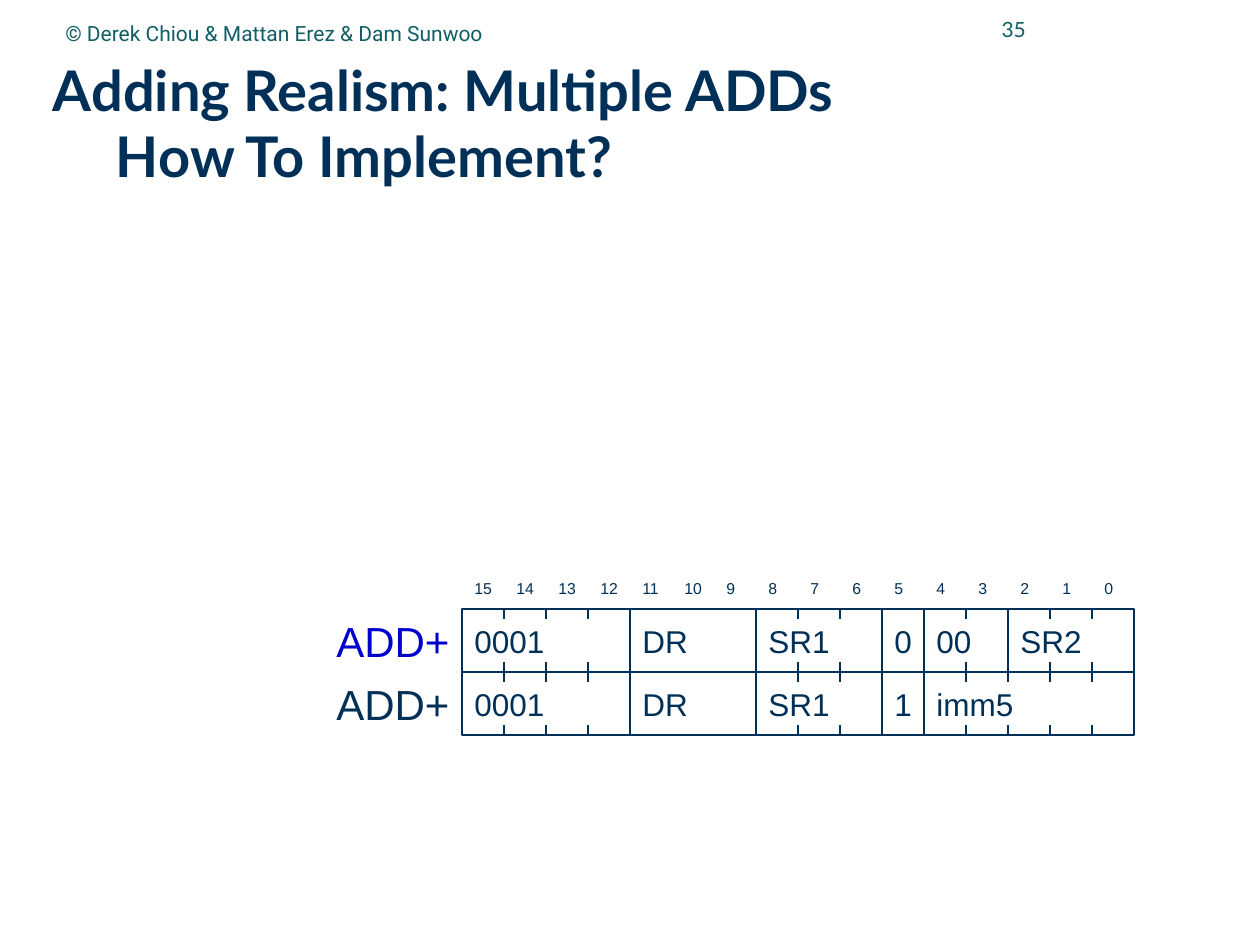
"""Build a slide showing the bit fields of the two ADD instruction formats."""
from lxml import etree
from pptx import Presentation
from pptx import util as u
from pptx.dml.color import RGBColor
from pptx.enum import shapes, text
from pptx.oxml import ns

THEME = {
    "navy": RGBColor.from_string("003057"),
    "teal": RGBColor.from_string("115E67"),
    "blue": RGBColor.from_string("0000CC"),
    "line": u.Pt(0.75),
    "title": {"name": "Lato", "size": u.Pt(32), "bold": True},
    "number": {"name": "Lato", "size": u.Pt(12)},
    "credit": {"name": "Roboto", "size": u.Pt(12)},
    "opcode": {"name": "Arial", "size": u.Pt(24)},
    "field": {"name": "Arial", "size": u.Pt(18)},
    "bit": {"name": "Arial", "size": u.Pt(9)},
}


def write_text(shape, wording, style, color="navy", align=text.PP_ALIGN.LEFT, wrap=False):
    frame = shape.text_frame
    for name, value in {"word_wrap": wrap, "vertical_anchor": text.MSO_ANCHOR.MIDDLE}.items():
        setattr(frame, name, value)
    paragraph = frame.paragraphs[0]
    paragraph.text = wording
    paragraph.alignment = align
    for run in paragraph.runs:
        for name, value in THEME[style].items():
            setattr(run.font, name, value)
        run.font.color.rgb = THEME[color]
    return paragraph


def add_tick(container, x, top, bottom):
    tick = container.add_connector(shapes.MSO_CONNECTOR.STRAIGHT, x, top, x, bottom)
    tick.line.color.rgb = THEME["navy"]
    tick.line.width = THEME["line"]
    etree.SubElement(tick._element.spPr, ns.qn("a:effectLst"))
    return tick


presentation = Presentation()
presentation.slide_width = u.Inches(10)
presentation.slide_height = u.Inches(7.5)
slide = presentation.slides.add_slide(presentation.slide_layouts[6])

title = slide.shapes.add_textbox(u.Inches(0.42), u.Inches(0.5), u.Inches(9.41), u.Inches(0.98))
for side in ("left", "top", "right", "bottom"):
    setattr(title.text_frame, f"margin_{side}", 0)
heading = write_text(title, "Adding Realism: Multiple ADDs\v\tHow To Implement?", "title", wrap=True)
heading.line_spacing = 0.99
tab_list = etree.SubElement(heading._p.get_or_add_pPr(), ns.qn("a:tabLst"))
etree.SubElement(tab_list, ns.qn("a:tab"), pos=str(u.Inches(0.5)), algn="l")

number = slide.shapes.add_textbox(u.Inches(7.33), u.Inches(-0.02), u.Inches(0.91), u.Inches(0.5))
write_text(number, "35", "number", "teal", text.PP_ALIGN.RIGHT, True)
credit = slide.shapes.add_textbox(u.Inches(0.42), u.Inches(0.03), u.Inches(5.67), u.Inches(0.46))
write_text(credit, "© Derek Chiou & Mattan Erez & Dam Sunwoo", "credit", "teal", wrap=True)

BIT = u.Inches(1) // 3
LEFT = 11 * BIT
TOP = u.Inches(29) // 6
ROW = u.Inches(0.5)
TICK = u.Inches(1) // 12
WORD = 16

instructions = [
    ("blue", [("0001", 4, True), ("DR", 3, False), ("SR1", 3, True),
              ("0", 1, False), ("00", 2, True), ("SR2", 3, True)]),
    ("navy", [("0001", 4, True), ("DR", 3, False), ("SR1", 3, True),
              ("1", 1, False), ("imm5", 5, True)]),
]

for row, (color, fields) in enumerate(instructions):
    top = TOP + row * ROW
    bottom = top + ROW
    opcode = slide.shapes.add_textbox(LEFT - u.Inches(1), top, u.Inches(1), ROW)
    opcode.text_frame.margin_left = 0
    write_text(opcode, "ADD+", "opcode", color, text.PP_ALIGN.RIGHT)
    left = LEFT
    for wording, bits, ticked in fields:
        container = slide.shapes.add_group_shape().shapes if ticked else slide.shapes
        field = container.add_shape(shapes.MSO_SHAPE.RECTANGLE, left, top, bits * BIT, ROW)
        field.shadow.inherit = False
        field.fill.background()
        field.line.color.rgb = THEME["navy"]
        field.line.width = THEME["line"]
        write_text(field, wording, "field")
        for bit in range(1, bits if ticked else 1):
            x = left + bit * BIT
            upper = add_tick(container, x, top, top + TICK)
            lower = add_tick(container, x, bottom - TICK, bottom)
            if 2 * bit == bits:
                upper.begin_connect(field, 0)
                lower.end_connect(field, 2)
        left += bits * BIT

for column in range(WORD):
    bit_label = slide.shapes.add_textbox(LEFT + column * BIT, TOP - BIT, BIT, BIT)
    bit_label.text_frame.margin_right = 0
    write_text(bit_label, str(WORD - 1 - column), "bit")

presentation.save("out.pptx")
